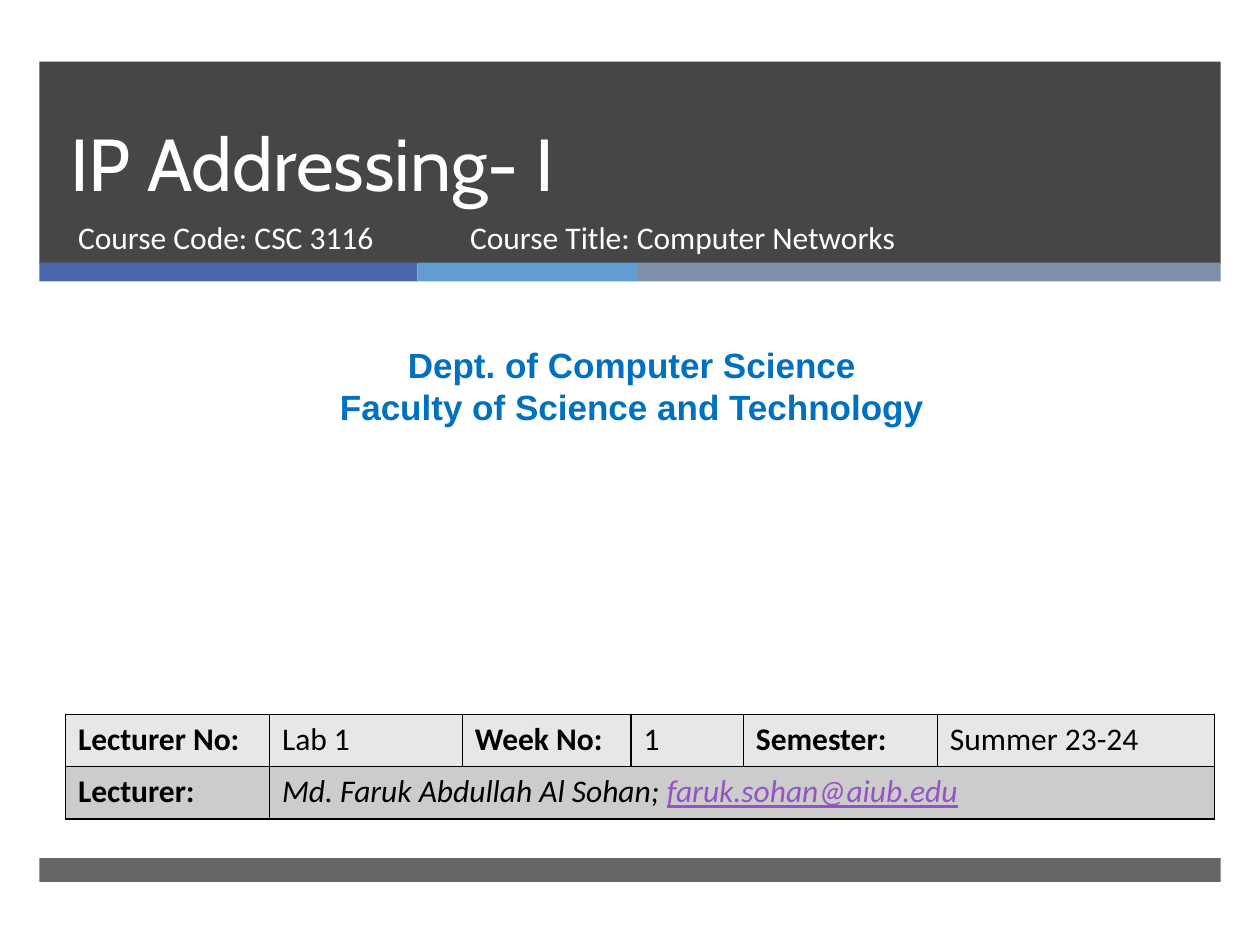
from lxml.etree import SubElement
from pptx import Presentation
from pptx.dml.color import RGBColor
from pptx.enum.shapes import MSO_SHAPE as Shape
from pptx.enum.text import MSO_ANCHOR as Anchor, PP_ALIGN as Align
from pptx.oxml.ns import qn
from pptx.util import Pt

WHITE, BLACK, DARK = "FFFFFF", "000000", "262626"
BLUE, VIOLET = "0070C0", "9454C3"
LEFT, WIDTH = 22.5, 675


def colour(hex_code):
    return RGBColor.from_string(hex_code)


def add_bar(page, left, top, width, height, fill, opacity=100):
    bar = page.shapes.add_shape(Shape.RECTANGLE, Pt(left), Pt(top), Pt(width), Pt(height))
    bar.shadow.inherit = False
    bar.fill.solid()
    bar.fill.fore_color.rgb = colour(fill)
    bar.line.fill.background()
    if opacity < 100:
        tint = bar.fill._xPr.find(".//" + qn("a:srgbClr"))
        SubElement(tint, qn("a:alpha"), val=str(opacity * 1000))


def add_span(para, text, size, font, hex_code, bold=False, italic=False, underline=False):
    span = para.add_run()
    span.text = text
    span.font.size = Pt(size)
    span.font.name = font
    span.font.color.rgb = colour(hex_code)
    span.font.bold = bold
    span.font.italic = italic
    span.font.underline = underline


def add_text(page, left, top, width, height, lines, size, font, hex_code,
             bold=False, align=Align.LEFT, anchor=Anchor.TOP, spacing=None):
    box = page.shapes.add_textbox(Pt(left), Pt(top), Pt(width), Pt(height))
    frame = box.text_frame
    frame.word_wrap = True
    frame.vertical_anchor = anchor
    for number, line in enumerate(lines):
        para = frame.add_paragraph() if number else frame.paragraphs[0]
        para.alignment = align
        if spacing:
            para.line_spacing = Pt(spacing)
        add_span(para, line, size, font, hex_code, bold)


def add_header(page, left, top, width, height):
    # Dark band with the coloured strip along its lower edge
    add_bar(page, left, top, width, height, DARK, 85)
    strip_left = left
    for strip_width, fill in ((216, "4A66AC"), (126, "629DD1"), (333, "7F8FA9")):
        add_bar(page, strip_left, top + height - 1, strip_width, 10.8, fill)
        strip_left += strip_width

    # Title and course details
    add_text(page, left + 10.5, top, 615, 86, ["IP Addressing- I"], 42, "Cabin", WHITE,
             anchor=Anchor.BOTTOM, spacing=46)
    details = ((15, 220, "Course Code: CSC 3116"),
               (239, 328, "Course Title: Computer Networks"))
    for offset, detail_width, text in details:
        add_text(page, left + offset, top + 85.7, detail_width, 38, [text], 18, "Calibri", WHITE)


def add_borders(cell):
    properties = cell._tc.get_or_add_tcPr()
    for number, side in enumerate(("a:lnL", "a:lnR", "a:lnT", "a:lnB")):
        line = properties.makeelement(qn(side), {"w": str(Pt(1))})
        fill = SubElement(line, qn("a:solidFill"))
        SubElement(fill, qn("a:srgbClr"), val=BLACK)
        properties.insert(number, line)


def add_lecture_table(page, left, top, width, height):
    column_widths = (116.6, 110.2, 96.5, 64.1, 110.9, 158.4)
    rows = (("Lecturer No:", "Lab 1", "Week No:", "1", "Semester:", "Summer 23-24"),
            ("Lecturer:",))
    table = page.shapes.add_table(len(rows), len(column_widths), Pt(left), Pt(top),
                                  Pt(width), Pt(height)).table
    for column, column_width in zip(table.columns, column_widths):
        column.width = Pt(column_width)

    # Labels in bold, alternating with values
    for row, (texts, fill) in enumerate(zip(rows, ("E7E7E7", "CCCCCC"))):
        for column in range(len(column_widths)):
            cell = table.cell(row, column)
            cell.fill.solid()
            cell.fill.fore_color.rgb = colour(fill)
            add_borders(cell)
            if column < len(texts):
                add_span(cell.text_frame.paragraphs[0], texts[column], 18, "Calibri", BLACK,
                         bold=column % 2 == 0)

    # Lecturer's name and address across the remaining columns
    lecturer = table.cell(1, 1)
    lecturer.merge(table.cell(1, len(column_widths) - 1))
    para = lecturer.text_frame.paragraphs[0]
    add_span(para, "Md. Faruk Abdullah Al Sohan; ", 18, "Calibri", BLACK, italic=True)
    add_span(para, "faruk.sohan@aiub.edu", 18, "Calibri", VIOLET, italic=True, underline=True)


def main():
    deck = Presentation()
    deck.slide_width, deck.slide_height = Pt(720), Pt(540)
    page = deck.slides.add_slide(deck.slide_layouts[6])

    add_header(page, LEFT, 35.2, WIDTH, 115.8)
    # Department
    add_text(page, 5.8, 193, 710.6, 55.4,
             ["Dept. of Computer Science", "Faculty of Science and Technology"],
             20, "Arial", BLUE, bold=True, align=Align.CENTER)
    add_lecture_table(page, 37.4, 408.2, 656.7, 59.8)
    # Footer band
    add_bar(page, LEFT, 490.3, WIDTH, 13.7, DARK, 70)

    deck.save("out.pptx")


if __name__ == "__main__":
    main()
